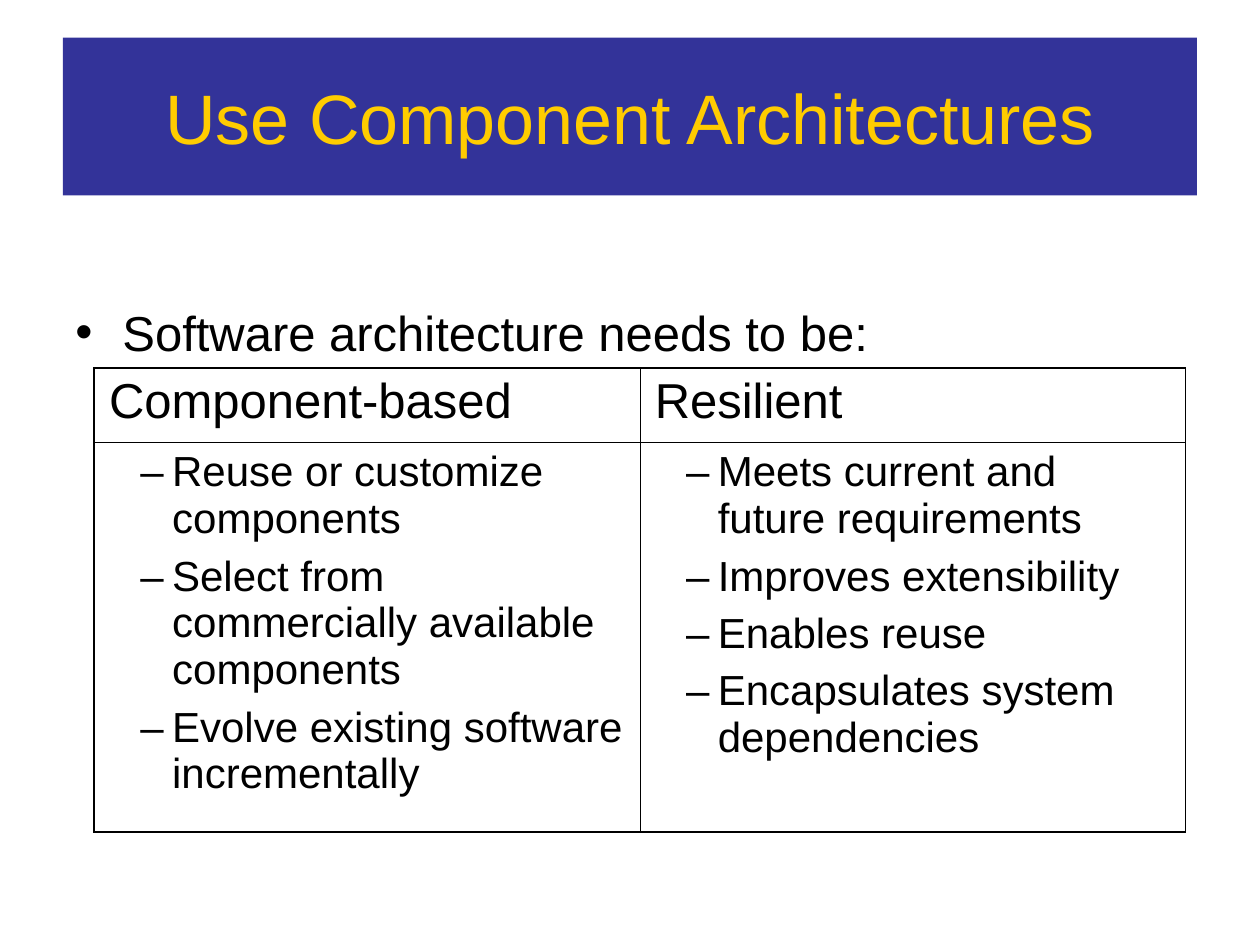
from lxml.etree import SubElement
from pptx import Presentation
from pptx.dml.color import RGBColor
from pptx.enum.shapes import MSO_SHAPE as Shape
from pptx.enum.text import MSO_ANCHOR as Anchor, PP_ALIGN as Align
from pptx.oxml import parse_xml
from pptx.oxml.ns import nsdecls, qn
from pptx.util import Cm, Pt

COLORS = {"banner": "333399", "title": "FFCC00", "text": "000000"}
FONT = "Arial"
TITLE = "Use Component Architectures"
LEAD = "Software architecture needs to be:"
QUALITIES = [
    ("Component-based", [
        "Reuse or customize components",
        "Select from commercially available components",
        "Evolve existing software incrementally",
    ]),
    ("Resilient", [
        "Meets current and future requirements",
        "Improves extensibility",
        "Enables reuse",
        "Encapsulates system dependencies",
    ]),
]
COLUMN_WIDTH = 11
ROW_HEIGHTS = [1.5, 7.85]
OUTER_LINE, INNER_LINE = Pt(1.08), Pt(0.45)


def style(para, size, color="text"):
    para.font.name = FONT
    para.font.size = Pt(size)
    para.font.color.rgb = RGBColor.from_string(COLORS[color])


def add_bullet(para, char, left, hanging):
    props = para._p.get_or_add_pPr()
    props.set("marL", str(Cm(left)))
    props.set("indent", str(-Cm(hanging)))
    color = SubElement(props, qn("a:buClr"))
    SubElement(color, qn("a:srgbClr"), val=COLORS["text"])
    SubElement(props, qn("a:buFont"), typeface=FONT)
    SubElement(props, qn("a:buChar"), char=char)


def set_borders(cell, row, column):
    outer = {"L": column == 0, "R": column == len(QUALITIES) - 1,
             "T": row == 0, "B": row == len(ROW_HEIGHTS) - 1}
    props = cell._tc.get_or_add_tcPr()
    for position, (side, is_outer) in enumerate(outer.items()):
        width = OUTER_LINE if is_outer else INNER_LINE
        props.insert(position, parse_xml(
            f'<a:ln{side} {nsdecls("a")} w="{width}"><a:solidFill>'
            f'<a:srgbClr val="{COLORS["text"]}"/></a:solidFill></a:ln{side}>'))


def add_title(page):
    banner = page.shapes.add_shape(
        Shape.RECTANGLE, Cm(1.27), Cm(0.76), Cm(22.86), Cm(3.18))
    banner.shadow.inherit = False
    banner.fill.solid()
    banner.fill.fore_color.rgb = RGBColor.from_string(COLORS["banner"])
    banner.line.fill.background()
    frame = banner.text_frame
    frame.word_wrap = True
    frame.vertical_anchor = Anchor.MIDDLE
    para = frame.paragraphs[0]
    para.text = TITLE
    para.alignment = Align.CENTER
    style(para, 40, "title")


def add_lead(page):
    box = page.shapes.add_textbox(Cm(1.27), Cm(4.45), Cm(18.85), Cm(12.57))
    frame = box.text_frame
    frame.word_wrap = True
    frame.margin_top = Cm(1.64)
    para = frame.paragraphs[0]
    para.text = LEAD
    add_bullet(para, "•", 0.95, 0.95)
    style(para, 28)


def fill_cell(cell, lines, size, bulleted):
    cell.fill.background()
    cell.margin_left = cell.margin_right = Cm(0.3)
    cell.margin_top = cell.margin_bottom = Cm(0.13)
    frame = cell.text_frame
    for index, line in enumerate(lines):
        para = frame.add_paragraph() if index else frame.paragraphs[0]
        para.text = line
        if bulleted:
            para.level = 1
            add_bullet(para, "–", 1.27, 0.64)
        if index:
            para.space_before = Pt(6)
        style(para, size)


def add_qualities(page):
    columns = len(QUALITIES)
    table = page.shapes.add_table(
        len(ROW_HEIGHTS), columns, Cm(1.9), Cm(7.42),
        Cm(COLUMN_WIDTH * columns), Cm(sum(ROW_HEIGHTS))).table
    table.first_row = table.horz_banding = False
    for row, height in zip(table.rows, ROW_HEIGHTS):
        row.height = Cm(height)
    for column, (heading, points) in enumerate(QUALITIES):
        table.columns[column].width = Cm(COLUMN_WIDTH)
        fill_cell(table.cell(0, column), [heading], 28, False)
        fill_cell(table.cell(1, column), points, 24, True)
        for row in range(len(ROW_HEIGHTS)):
            set_borders(table.cell(row, column), row, column)


def main():
    deck = Presentation()
    deck.slide_width, deck.slide_height = Cm(25.4), Cm(19.05)
    page = deck.slides.add_slide(deck.slide_layouts[6])
    add_title(page)
    add_lead(page)
    add_qualities(page)
    deck.save("out.pptx")


if __name__ == "__main__":
    main()
